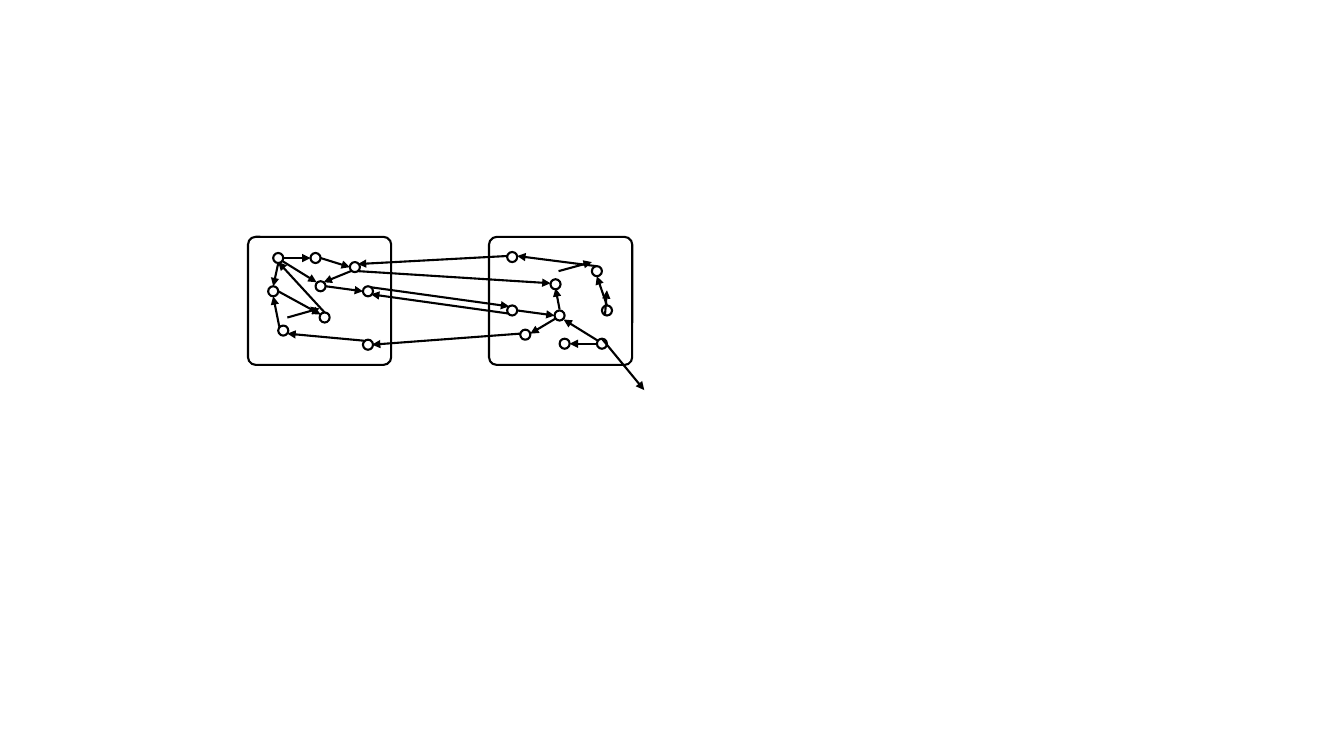
"""Draw two boxes of linked nodes, the right one being the left one turned by half."""
from dataclasses import dataclass

from lxml import etree
from pptx import Presentation
from pptx.dml.color import RGBColor
from pptx.enum import shapes as sh
from pptx.oxml import ns
from pptx.util import Inches, Pt

BLACK = RGBColor(0x00, 0x00, 0x00)
WIDTH = 1.5
SPAN_X, SPAN_Y = 8.73, 5.97


@dataclass(frozen=True)
class Shape:
    kind: sh.MSO_SHAPE
    x: float
    y: float
    w: float
    h: float
    turn: int = 0

    def flip(self) -> "Shape":
        """Give the shape turned by half about the middle of the figure."""
        return Shape(self.kind, SPAN_X - self.x - self.w,
                     SPAN_Y - self.y - self.h, self.w, self.h, 180)


@dataclass(frozen=True)
class Arrow:
    x1: float
    y1: float
    x2: float
    y2: float

    def flip(self) -> "Arrow":
        """Give the arrow turned by half about the middle of the figure."""
        return Arrow(SPAN_X - self.x1, SPAN_Y - self.y1,
                     SPAN_X - self.x2, SPAN_Y - self.y2)


BOX = Shape(sh.MSO_SHAPE.ROUNDED_RECTANGLE, 2.46, 2.35, 1.42, 1.27)
NODES = [Shape(sh.MSO_SHAPE.OVAL, x, y, 0.1, 0.1) for x, y in (
    (2.71, 2.51), (3.08, 2.51), (3.13, 2.79), (3.47, 2.6), (3.6, 2.84),
    (2.76, 3.23), (3.17, 3.1), (2.66, 2.84), (3.6, 3.37))]
TWINS = [Arrow(2.81, 2.56, 3.08, 2.56), Arrow(2.8, 2.59, 3.14, 2.8)]
LEFT = [
    Arrow(3.22, 3.1, 2.76, 2.6),
    Arrow(2.76, 2.61, 2.71, 2.84),
]
RIGHT = [
    Arrow(5.97, 3.36, 6.39, 3.87),
    Arrow(5.54, 2.69, 5.87, 2.6),
]
LINKS = [
    Arrow(3.68, 2.85, 5.05, 3.04),
    Arrow(5.04, 3.11, 3.68, 2.92),
    Arrow(3.55, 2.69, 5.46, 2.81),
    Arrow(5.03, 2.54, 3.55, 2.62),
    Arrow(5.16, 3.31, 3.69, 3.42),
    Arrow(5.55, 3.07, 5.51, 2.86),
    Arrow(5.51, 3.16, 5.26, 3.31),
    Arrow(5.13, 3.08, 5.5, 3.13),
    Arrow(6, 3.13, 6.02, 2.88),
    Arrow(6.02, 3.03, 5.92, 2.74),
    Arrow(5.91, 2.64, 5.13, 2.54),
    Arrow(3.61, 3.38, 2.85, 3.31),
    Arrow(2.85, 3.15, 3.17, 3.06),
    Arrow(2.77, 3.24, 2.71, 2.94),
    Arrow(2.76, 2.89, 3.18, 3.12),
    Arrow(3.23, 2.84, 3.6, 2.89),
    Arrow(3.18, 2.56, 3.47, 2.65),
    Arrow(3.48, 2.69, 3.21, 2.8),
]


def draw_shape(slide, item: Shape) -> None:
    """Draw one outlined box or node."""
    form = slide.shapes.add_shape(
        item.kind, *map(Inches, (item.x, item.y, item.w, item.h)))
    form.rotation = item.turn
    form.shadow.inherit = False
    form.fill.background()
    form.line.color.rgb = BLACK
    form.line.width = Pt(WIDTH)
    if item.kind == BOX.kind:
        form.adjustments[0] = 0.06


def draw_arrow(slide, item: Arrow) -> None:
    """Draw one straight arrow."""
    link = slide.shapes.add_connector(
        sh.MSO_CONNECTOR.STRAIGHT,
        *map(Inches, (item.x1, item.y1, item.x2, item.y2)))
    link.line.color.rgb = BLACK
    link.line.width = Pt(WIDTH)
    props = link.element.spPr
    tip = etree.SubElement(props.find(ns.qn("a:ln")), ns.qn("a:tailEnd"))
    tip.set("type", "triangle")
    etree.SubElement(props, ns.qn("a:effectLst"))


def main() -> None:
    """Build the slide and save it."""
    deck = Presentation()
    deck.slide_width, deck.slide_height = Inches(13.33), Inches(7.5)
    slide = deck.slides.add_slide(deck.slide_layouts[6])
    left = [BOX, *NODES]
    right = [item.flip() for item in left]
    halves = ((left, TWINS + LEFT),
              (right, [item.flip() for item in TWINS] + RIGHT))
    for forms, arrows in halves:
        for form in forms:
            draw_shape(slide, form)
        for arrow in arrows:
            draw_arrow(slide, arrow)
    for link in LINKS:
        draw_arrow(slide, link)
    deck.save("out.pptx")


if __name__ == "__main__":
    main()
